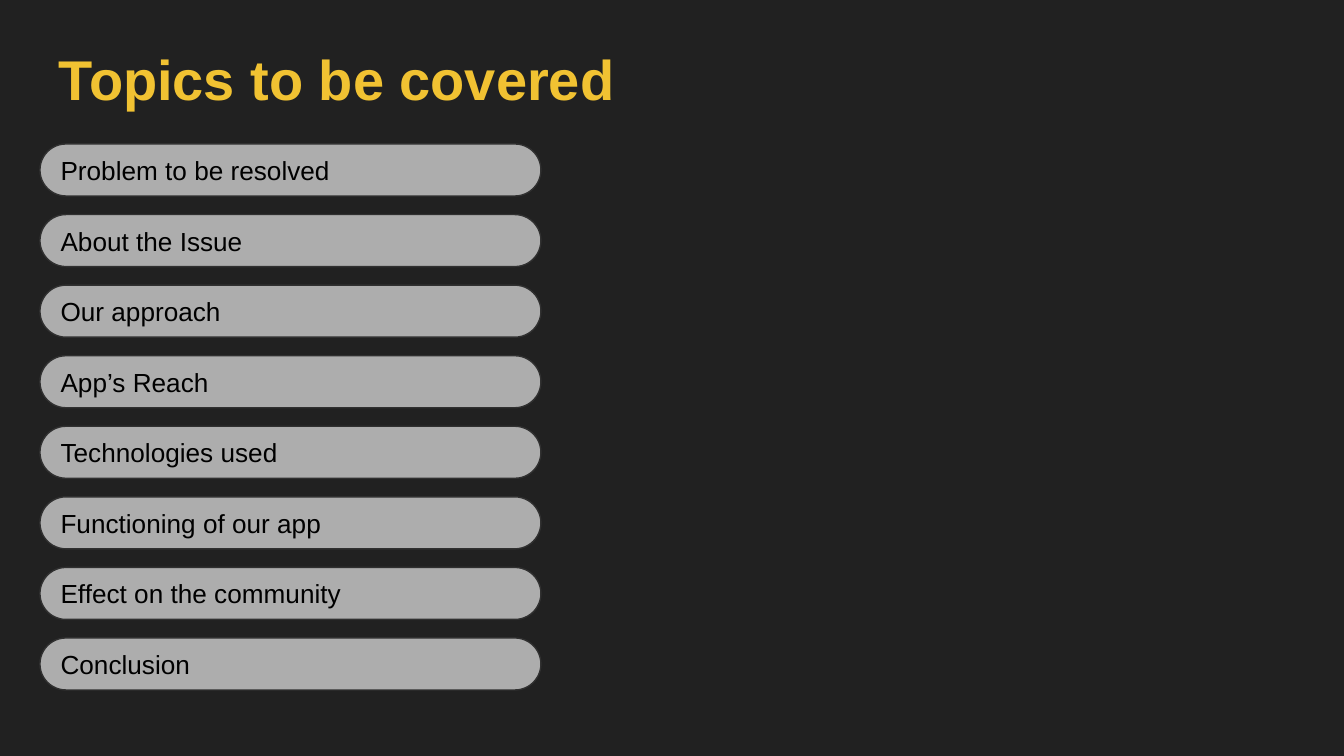
from pptx import Presentation
from pptx.dml.color import RGBColor as RGB
from pptx.enum.shapes import MSO_SHAPE as SHAPE
from pptx.enum.text import MSO_ANCHOR as ANCHOR, MSO_AUTO_SIZE as FIT, PP_ALIGN as ALIGN
from pptx.util import Pt

SCALE = 914400 / 134.4  # EMU in one px
COLORS = {
    "back": "212121",
    "pill": "ADADAD",
    "edge": "303030",
    "text": "000000",
    "title": "F1C232",
}
TOPICS = [
    "Problem to be resolved",
    "About the Issue",
    "Our approach",
    "App’s Reach",
    "Technologies used",
    "Functioning of our app",
    "Effect on the community",
    "Conclusion",
]


def px(n):
    return round(n * SCALE)


def color(name):
    return RGB.from_string(COLORS[name])


def write(shape, text, size=14, tint="text", bold=False, anchor=ANCHOR.MIDDLE):
    frame = shape.text_frame
    frame.text = text
    frame.word_wrap = True
    frame.auto_size = FIT.NONE
    frame.vertical_anchor = anchor
    frame.margin_left = frame.margin_right = px(13)
    frame.margin_top = frame.margin_bottom = px(13)
    line = frame.paragraphs[0]
    line.alignment = ALIGN.LEFT
    font = line.runs[0].font
    font.name, font.size, font.bold = "Arial", Pt(size), bold
    font.color.rgb = color(tint)


def add_title(slide, text, x, y, w, h):
    title = slide.shapes.title
    title.left, title.top, title.width, title.height = map(px, (x, y, w, h))
    write(title, text, size=30, tint="title", bold=True, anchor=ANCHOR.TOP)


def add_topics(slide, topics, x, y, w, h, tall=52):
    step = (h - tall) / (len(topics) - 1)
    for i, topic in enumerate(topics):
        pill = slide.shapes.add_shape(
            SHAPE.ROUNDED_RECTANGLE, px(x), px(y + i * step), px(w), px(tall))
        pill.adjustments[0] = 0.5
        pill.shadow.inherit = False
        pill.fill.solid()
        pill.fill.fore_color.rgb = color("pill")
        pill.line.color.rgb = color("edge")
        pill.line.width = Pt(0.75)
        write(pill, topic)


def main():
    deck = Presentation()
    deck.slide_width, deck.slide_height = px(1344), px(756)
    slide = deck.slides.add_slide(deck.slide_layouts[5])

    # Background
    fill = slide.background.fill
    fill.solid()
    fill.fore_color.rgb = color("back")

    # Heading and list of topics
    add_title(slide, "Topics to be covered", 46, 31, 620, 99)
    add_topics(slide, TOPICS, 40, 144, 501, 546)

    deck.save("out.pptx")


if __name__ == "__main__":
    main()
